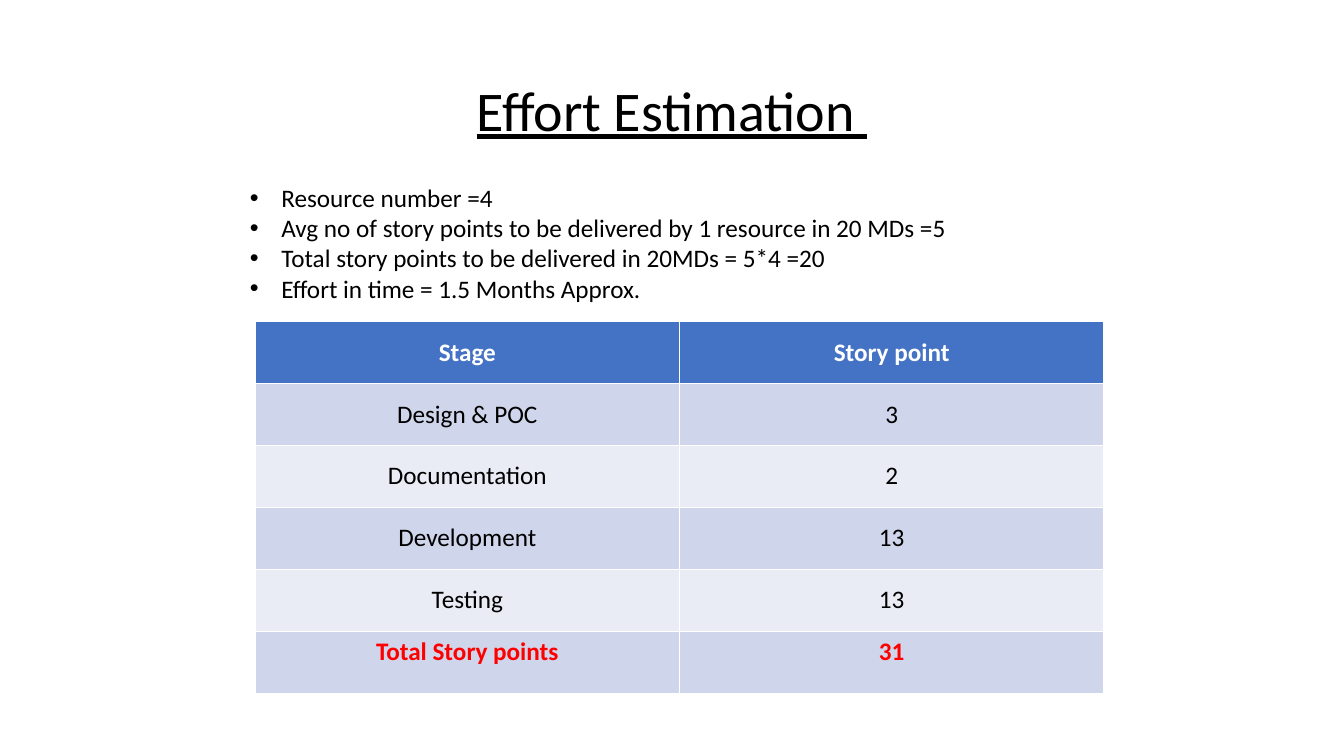
from lxml import etree
from pptx import Presentation
from pptx.dml.color import RGBColor
from pptx.enum.text import MSO_ANCHOR, PP_ALIGN
from pptx.oxml.ns import qn
from pptx.util import Cm, Pt

CENTER = PP_ALIGN.CENTER
MIDDLE, TOP = MSO_ANCHOR.MIDDLE, MSO_ANCHOR.TOP

FONT = "Calibri"
COLORS = {
    "text": "000000",
    "header_text": "FFFFFF",
    "total_text": "FF0000",
    "header": "4472C4",
    "band_dark": "CFD5EA",
    "band_light": "E9EBF5",
}
TITLE = "Effort Estimation\N{NO-BREAK SPACE}"
ASSUMPTIONS = [
    "Resource number =4",
    "Avg no of story points to be delivered by 1 resource in 20 MDs =5",
    "Total story points to be delivered in 20MDs = 5*4 =20",
    "Effort in time = 1.5 Months Approx.",
]
ESTIMATES = [
    ("Stage", "Story point"),
    ("Design & POC", "3"),
    ("Documentation", "2"),
    ("Development", "13"),
    ("Testing", "13"),
    ("Total Story points", "31"),
]
# Boxes in cm: left, top, width, height
TITLE_BOX = (2.33, 1.01, 29.21, 3.68)
TABLE_BOX = (6.43, 8.1, 21.39, 9.37)
ASSUMPTIONS_BOX = (6.05, 4.47, 19.94, 4.11)


def rgb(name):
    return RGBColor.from_string(COLORS[name])


def add_run(p, text, color="text", **font):
    r = p.add_run()
    r.text = text
    r.font.color.rgb = rgb(color)
    for key, value in {"name": FONT, "size": Pt(18), **font}.items():
        setattr(r.font, key, value)


def add_text_frame(slide, box, anchor):
    tf = slide.shapes.add_textbox(*map(Cm, box)).text_frame
    tf.word_wrap = True
    tf.vertical_anchor = anchor
    return tf


def set_bullet(p):
    pPr = p._p.get_or_add_pPr()
    pPr.set("marL", str(Cm(0.79)))
    pPr.set("indent", str(-Cm(0.79)))
    etree.SubElement(pPr, qn("a:buFont")).set("typeface", "Arial")
    etree.SubElement(pPr, qn("a:buChar")).set("char", "•")


def add_title(slide, box):
    p = add_text_frame(slide, box, MIDDLE).paragraphs[0]
    p.alignment = CENTER
    p.line_spacing = 0.9
    add_run(p, TITLE, size=Pt(40), underline=True)


def add_assumptions(slide, box):
    tf = add_text_frame(slide, box, TOP)
    for i, text in enumerate(ASSUMPTIONS):
        p = tf.add_paragraph() if i else tf.paragraphs[0]
        set_bullet(p)
        add_run(p, text)


def row_format(i):
    """Fill, text colour, bold and anchor of table row i."""
    if i == 0:
        return "header", "header_text", True, MIDDLE
    band = "band_dark" if i % 2 else "band_light"
    if i == len(ESTIMATES) - 1:
        return band, "total_text", True, TOP
    return band, "text", False, MIDDLE


def add_estimates(slide, box):
    # The default table style supplies the white cell borders
    rows, cols = len(ESTIMATES), len(ESTIMATES[0])
    table = slide.shapes.add_table(rows, cols, *map(Cm, box)).table
    for i, values in enumerate(ESTIMATES):
        fill, color, bold, anchor = row_format(i)
        for cell, value in zip(table.rows[i].cells, values):
            cell.fill.solid()
            cell.fill.fore_color.rgb = rgb(fill)
            cell.vertical_anchor = anchor
            p = cell.text_frame.paragraphs[0]
            p.alignment = CENTER
            add_run(p, value, color, bold=bold)


def main():
    prs = Presentation()
    prs.slide_width, prs.slide_height = Cm(33.87), Cm(19.05)
    slide = prs.slides.add_slide(prs.slide_layouts[6])
    add_title(slide, TITLE_BOX)
    add_estimates(slide, TABLE_BOX)
    add_assumptions(slide, ASSUMPTIONS_BOX)
    prs.save("out.pptx")


if __name__ == "__main__":
    main()
